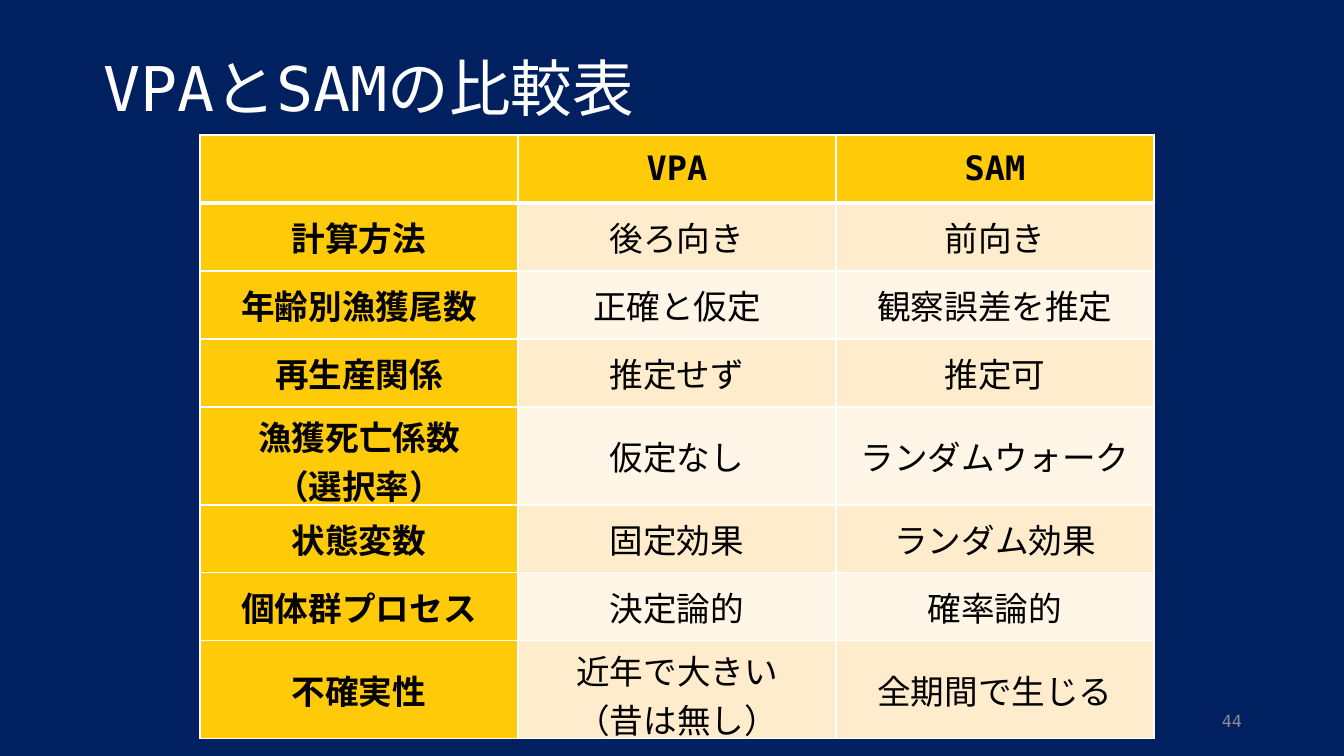
"""Build the VPA and SAM comparison table slide."""
from lxml.etree import SubElement
from pptx import Presentation
from pptx.dml.color import RGBColor
from pptx.enum.lang import MSO_LANGUAGE_ID
from pptx.enum.text import MSO_ANCHOR, MSO_AUTO_SIZE, PP_ALIGN
from pptx.oxml.ns import qn
from pptx.util import Pt

PX = 914400 / 100.8
FONT = "DejaVu Sans Mono"
COLORS = {"navy": "002060", "white": "FFFFFF", "black": "000000", "gray": "8C8C8C",
          "gold": "FFCA08", "peach": "FFECCC", "cream": "FFF6E7"}
ROWS = [
    ("", "VPA", "SAM"),
    ("計算方法", "後ろ向き", "前向き"),
    ("年齢別漁獲尾数", "正確と仮定", "観察誤差を推定"),
    ("再生産関係", "推定せず", "推定可"),
    ("漁獲死亡係数\n（選択率）", "仮定なし", "ランダムウォーク"),
    ("状態変数", "固定効果", "ランダム効果"),
    ("個体群プロセス", "決定論的", "確率論的"),
    ("不確実性", "近年で大きい\n（昔は無し）", "全期間で生じる"),
]


def px(*lengths):
    return [round(n * PX) for n in lengths]


def write(tf, text, size, color, align, bold=False):
    tf.text = text
    tf.word_wrap = True
    for p in tf.paragraphs:
        p.alignment = align
        p.font.name = FONT
        p.font.size = Pt(size)
        p.font.bold = bold
        p.font.color.rgb = RGBColor.from_string(COLORS[color])
        for r in p.runs:
            r.font.language_id = MSO_LANGUAGE_ID.JAPANESE


prs = Presentation()
prs.slide_width, prs.slide_height = px(1344, 756)
s = prs.slides.add_slide(prs.slide_layouts[5])
s.background.fill.solid()
s.background.fill.fore_color.rgb = RGBColor.from_string(COLORS["navy"])

title = s.shapes.title
title.left, title.top, title.width, title.height = px(93, 40, 1159, 104)
tf = title.text_frame
write(tf, "VPAとSAMの比較表", 44, "white", PP_ALIGN.LEFT)
tf.auto_size = MSO_AUTO_SIZE.NONE
tf.vertical_anchor = MSO_ANCHOR.MIDDLE
tf.paragraphs[0].line_spacing = 0.9

number = s.shapes.add_textbox(*px(950, 701, 302, 40))
write(number.text_frame, "44", 12, "gray", PP_ALIGN.RIGHT)
number.text_frame.vertical_anchor = MSO_ANCHOR.MIDDLE

table = s.shapes.add_table(len(ROWS), 3, *px(200, 135, 954, 606)).table
for i, row in enumerate(ROWS):
    two_lines = any("\n" in text for text in row)
    table.rows[i].height = px(98 if two_lines else 68)[0]
    for j, text in enumerate(row):
        cell = table.cell(i, j)
        heading = i == 0 or j == 0
        write(cell.text_frame, text, 24, "black", PP_ALIGN.CENTER, heading)
        cell.vertical_anchor = MSO_ANCHOR.MIDDLE
        tcPr = cell._tc.get_or_add_tcPr()
        for side in "LRTB":
            thick = (i, side) in ((0, "B"), (1, "T"))
            ln = SubElement(tcPr, qn(f"a:ln{side}"), w=str(Pt(3 if thick else 1)))
            fill = SubElement(ln, qn("a:solidFill"))
            SubElement(fill, qn("a:srgbClr"), val=COLORS["white"])
        shade = "gold" if heading else "peach" if i % 2 else "cream"
        cell.fill.solid()
        cell.fill.fore_color.rgb = RGBColor.from_string(COLORS[shade])

prs.save("out.pptx")
